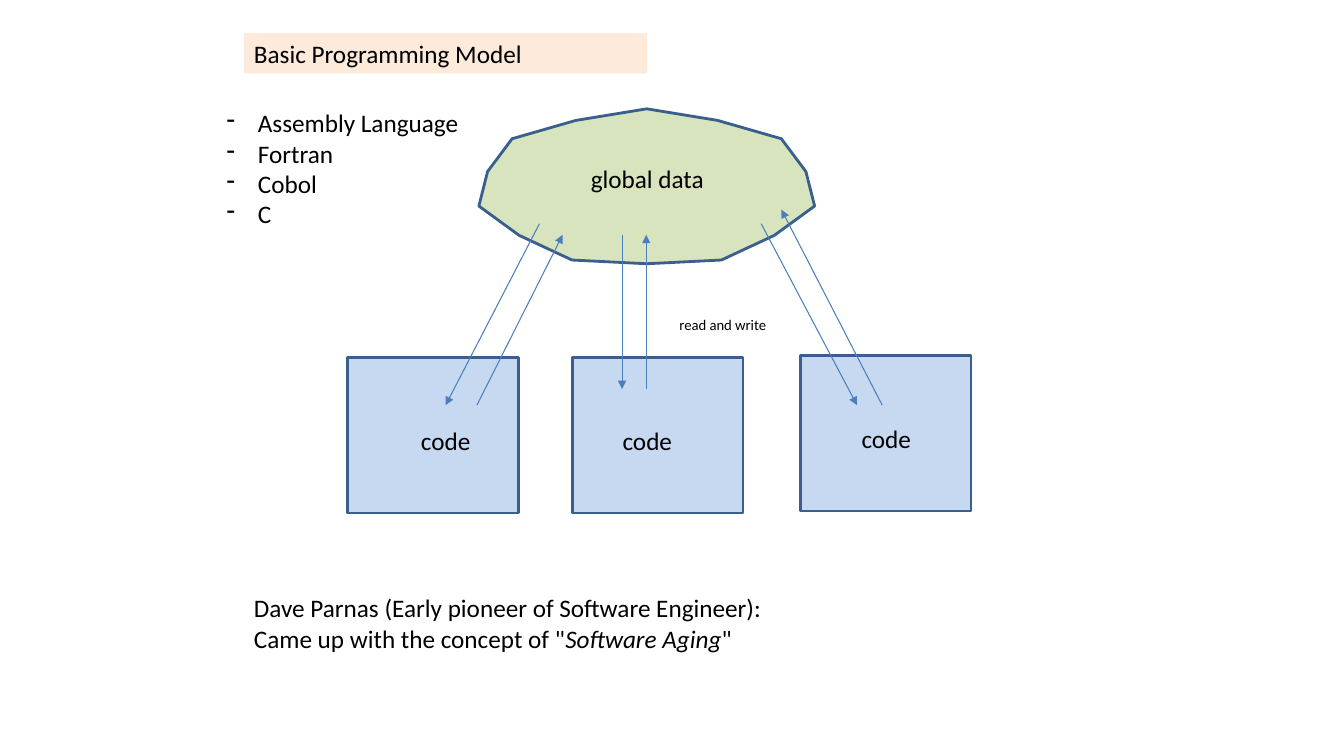
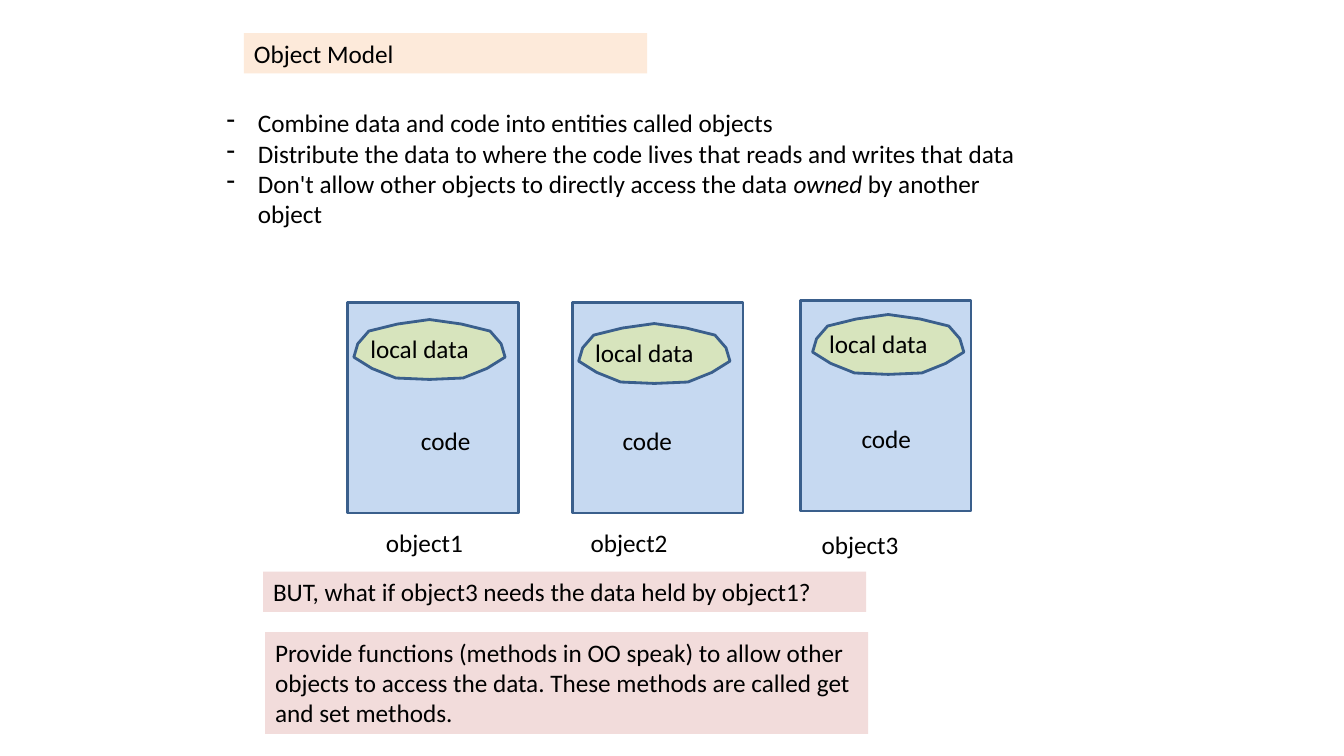
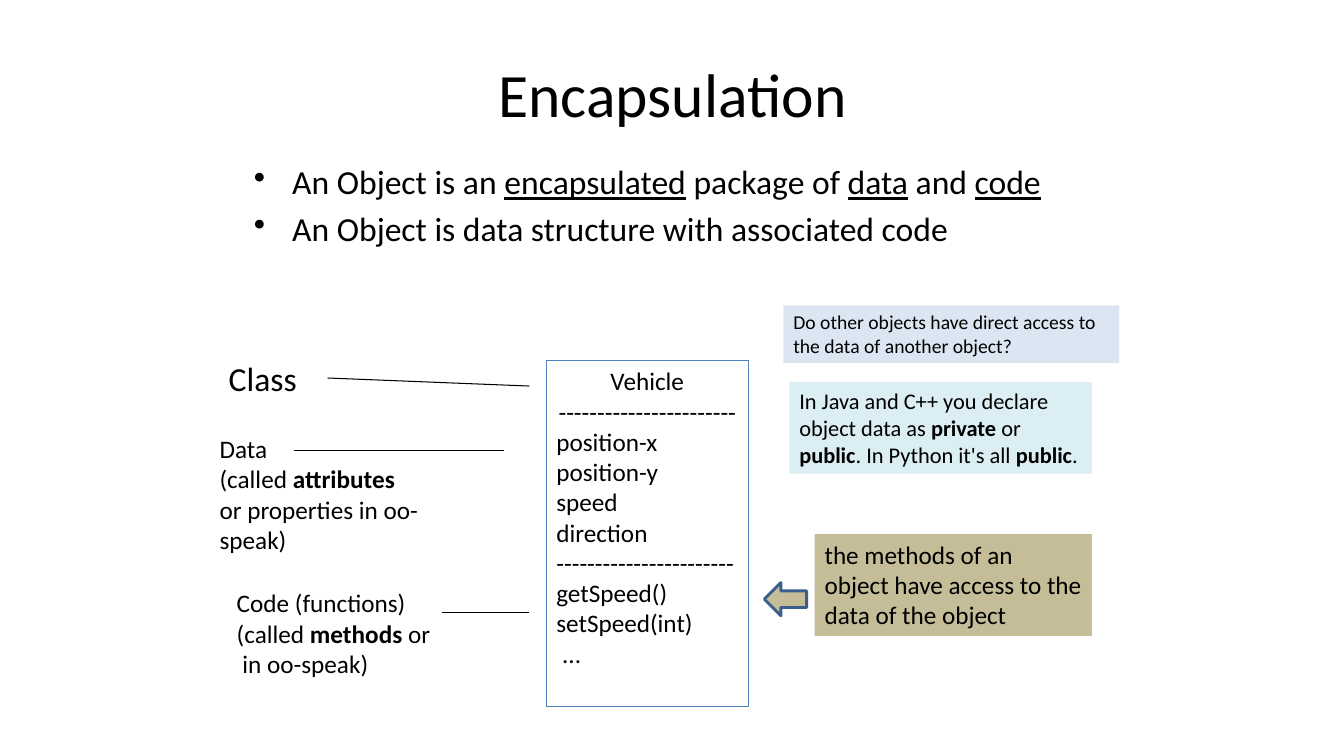
import dataclasses

import lxml.etree
import pptx
import pptx.dml.color
import pptx.enum.shapes
import pptx.enum.text
import pptx.oxml.ns
import pptx.util

Inches = pptx.util.Inches
Pt = pptx.util.Pt
Color = pptx.dml.color.RGBColor.from_string
Kind = pptx.enum.shapes.MSO_SHAPE
Align = pptx.enum.text.PP_ALIGN
qn = pptx.oxml.ns.qn


@dataclasses.dataclass(frozen=True)
class Theme:
    font: str = "Calibri"
    ink: str = "000000"
    edge: str = "3A5F8C"
    flow: str = "4B7EBC"
    frame: str = "4F81BD"
    band: str = "FDEADA"
    code: str = "C6D9F1"
    data: str = "D7E4BD"
    rose: str = "F2DCDB"
    sand: str = "C4BD97"
    mist: str = "DCE6F2"
    aqua: str = "DBEEF4"
    title: float = 44
    lead: float = 24
    body: float = 18
    note: float = 16
    small: float = 14
    tiny: float = 10.5
    thick: float = 2
    thin: float = 0.75


look = Theme()


def write(shape, lines, size=look.body, align=Align.LEFT, mark=None, indent=0.31, gap=0):
    """Fill a shape with lines; a line is a string or a list of strings and (text, style) runs."""
    frame = shape.text_frame
    frame.word_wrap = True
    for i, line in enumerate(lines):
        para = frame.add_paragraph() if i else frame.paragraphs[0]
        para.alignment = align
        para.space_before = Pt(gap if i else 0)
        if mark:
            props = para._p.get_or_add_pPr()
            props.set("marL", str(Inches(indent)))
            props.set("indent", str(-Inches(indent)))
            lxml.etree.SubElement(props, qn("a:buChar")).set("char", mark)
        para.font.name = look.font
        para.font.size = Pt(size)
        para.font.color.rgb = Color(look.ink)
        for part in [line] if isinstance(line, str) else line:
            if part == "\v":
                para.add_line_break()
                continue
            text, style = (part, None) if isinstance(part, str) else part
            run = para.add_run()
            run.text = text
            if style:
                setattr(run.font, style, True)


def place(shapes, at, lines=(), fill=None, line=None, width=look.thick, kind=Kind.RECTANGLE, **style):
    """Add a shape, or a text box when it has neither fill nor line."""
    at = [Inches(n) for n in at]
    if fill or line:
        shape = shapes.add_shape(kind, *at)
        shape.shadow.inherit = False
        shape.text_frame.vertical_anchor = pptx.enum.text.MSO_ANCHOR.TOP
        if fill:
            shape.fill.solid()
            shape.fill.fore_color.rgb = Color(fill)
        else:
            shape.fill.background()
        if line:
            shape.line.color.rgb = Color(line)
            shape.line.width = Pt(width)
        else:
            shape.line.fill.background()
        if kind == Kind.STAR_7_POINT:
            shape.adjustments[0] = 0.474
    else:
        shape = shapes.add_textbox(*at)
    if lines:
        write(shape, lines, **style)
    return shape


deck = pptx.Presentation()
deck.slide_width = Inches(13.33)
deck.slide_height = Inches(7.5)
basic, model, capsule = [deck.slides.add_slide(deck.slide_layouts[6]).shapes for _ in range(3)]

# Heading band, dashed list and three code boxes of the two model slides
floor = 5.09
columns = [(3.45, 3.71, 0), (5.68, 5.71, 0), (7.94, 8.08, 0.02)]  # box, label, lift
heads = [
    (basic, "Basic Programming Model", 2.67, 1.54,
     ["Assembly Language", "Fortran", "Cobol", "C"]),
    (model, "Object Model", 8.35, 2.09,
     ["Combine data and code into entities called objects",
      "Distribute the data to where the code lives that reads and writes that data",
      ["Don't allow other objects to directly access the data ", ("owned", "italic"),
       " by another object"]]),
]
for shapes, head, wide, high, points in heads:
    place(shapes, (2.42, 0.33, 4, 0.4), [head], fill=look.band)
    place(shapes, (2.15, 1.02, wide, 1.31), points, mark="-")
    for left, label, lift in columns:
        place(shapes, (left, floor - lift - high, 1.69, high), fill=look.code, line=look.edge)
        place(shapes, (label, 4.17 - lift, 1.42, 0.4), ["code"], align=Align.CENTER)

# Basic model: shared data
place(basic, (4.75, 1.08, 3.33, 1.5), fill=look.data, line=look.edge, kind=Kind.STAR_7_POINT)
place(basic, (5.71, 1.57, 1.42, 0.4), ["global data"], align=Align.CENTER)
place(basic, (6.64, 3.08, 1.41, 0.28), ["read and write"], size=look.tiny)
place(basic, (2.42, 5.83, 7.67, 0.71),
      ["Dave Parnas (Early pioneer of Software Engineer):",
       ['Came up with the concept of "', ("Software Aging", "italic"), '"']])

# Object model: each object keeps its own data
stores = [(3.51, 3.17, 3.73, 5.18), (5.74, 3.21, 5.76, 5.18), (8.06, 3.12, 8.05, 5.2)]
for n, (left, top, name, low) in enumerate(stores, 1):
    group = model.add_group_shape().shapes
    place(group, (left, top, 1.5, 0.58), fill=look.data, line=look.edge, kind=Kind.STAR_7_POINT)
    place(group, (left - 0.06, top + 0.09, 1.42, 0.4), ["local data"], align=Align.CENTER)
    place(model, (name, low, 1.13, 0.4), [f"object{n}"])
place(model, (2.61, 5.67, 5.98, 0.4),
      ["BUT, what if object3 needs the data held by object1?"], fill=look.rose)
place(model, (2.63, 6.27, 5.98, 1.01),
      ["Provide functions (methods in OO speak) to allow other objects to access the data. "
       "These methods are called get and set methods."], fill=look.rose)

# Encapsulation
title = place(capsule, (0.67, 0.3, 12, 1.25), ["Encapsulation"], size=look.title, align=Align.CENTER)
title.text_frame.vertical_anchor = pptx.enum.text.MSO_ANCHOR.MIDDLE
place(capsule, (2.42, 1.55, 9, 1.25),
      [["An Object is an ", ("encapsulated", "underline"), " package of ",
        ("data", "underline"), " and ", ("code", "underline")],
       "An Object is data structure with associated code"],
      size=look.lead, mark="•", indent=0.38, gap=4.8)

rule = "-" * 23
card = place(capsule, (5.42, 3.58, 2, 3.43),
             ["Vehicle", rule, "position-x", "position-y", "speed", "direction", rule,
              "getSpeed()", "setSpeed(int)", " ..."], line=look.frame, width=look.thin)
for para in card.text_frame.paragraphs[:2]:
    para.alignment = Align.CENTER

place(capsule, (2.17, 3.5, 2.17, 0.5), ["Class"], size=look.lead)
place(capsule, (2.08, 4.25, 2.17, 1.31),
      ["Data", ["(called ", ("attributes", "bold"), " or properties in oo-speak)"]])
place(capsule, (2.25, 5.78, 2.17, 1.01),
      ["Code (functions)", ["(called ", ("methods", "bold"), " or", "\v", " in oo-speak)"]])

group = capsule.add_group_shape().shapes
place(group, (8.08, 5.3, 2.75, 1.01),
      ["the methods of an object have access to the data of the object"], fill=look.sand)
place(group, (7.58, 5.78, 0.42, 0.33), fill=look.sand, line=look.edge, kind=Kind.LEFT_ARROW)
place(capsule, (7.77, 3.03, 3.33, 0.57),
      ["Do other objects have direct access to the data of another object?"],
      fill=look.mist, size=look.small)
place(capsule, (7.83, 3.79, 3, 0.91),
      [["In Java and C++ you declare object data as ", ("private", "bold"), " or ",
        ("public", "bold"), ". In Python it's all ", ("public", "bold"), "."]],
      fill=look.aqua, size=look.note)

# Arrows between code and data, and plain lines from captions to the class card
links = [
    (basic, look.flow, True, [
        (6.41, 3.86, 6.41, 2.33), (6.17, 2.33, 6.17, 3.86),
        (4.73, 4.02, 5.58, 2.33), (5.35, 2.22, 4.42, 4.02),
        (8.75, 4.02, 7.75, 2.08), (7.55, 2.22, 8.5, 4.02)]),
    (capsule, look.ink, False, [
        (3.25, 3.75, 5.25, 3.83), (2.92, 4.47, 5, 4.47), (4.38, 6.08, 5.25, 6.08)]),
]
for shapes, color, arrow, ends in links:
    for end in ends:
        link = shapes.add_connector(pptx.enum.shapes.MSO_CONNECTOR.STRAIGHT,
                                    *[Inches(n) for n in end])
        link.line.color.rgb = Color(color)
        link.line.width = Pt(look.thin)
        if arrow:
            tail = lxml.etree.SubElement(link.line._get_or_add_ln(), qn("a:tailEnd"))
            tail.set("type", "triangle")
        lxml.etree.SubElement(link._element.spPr, qn("a:effectLst"))

deck.save("out.pptx")
